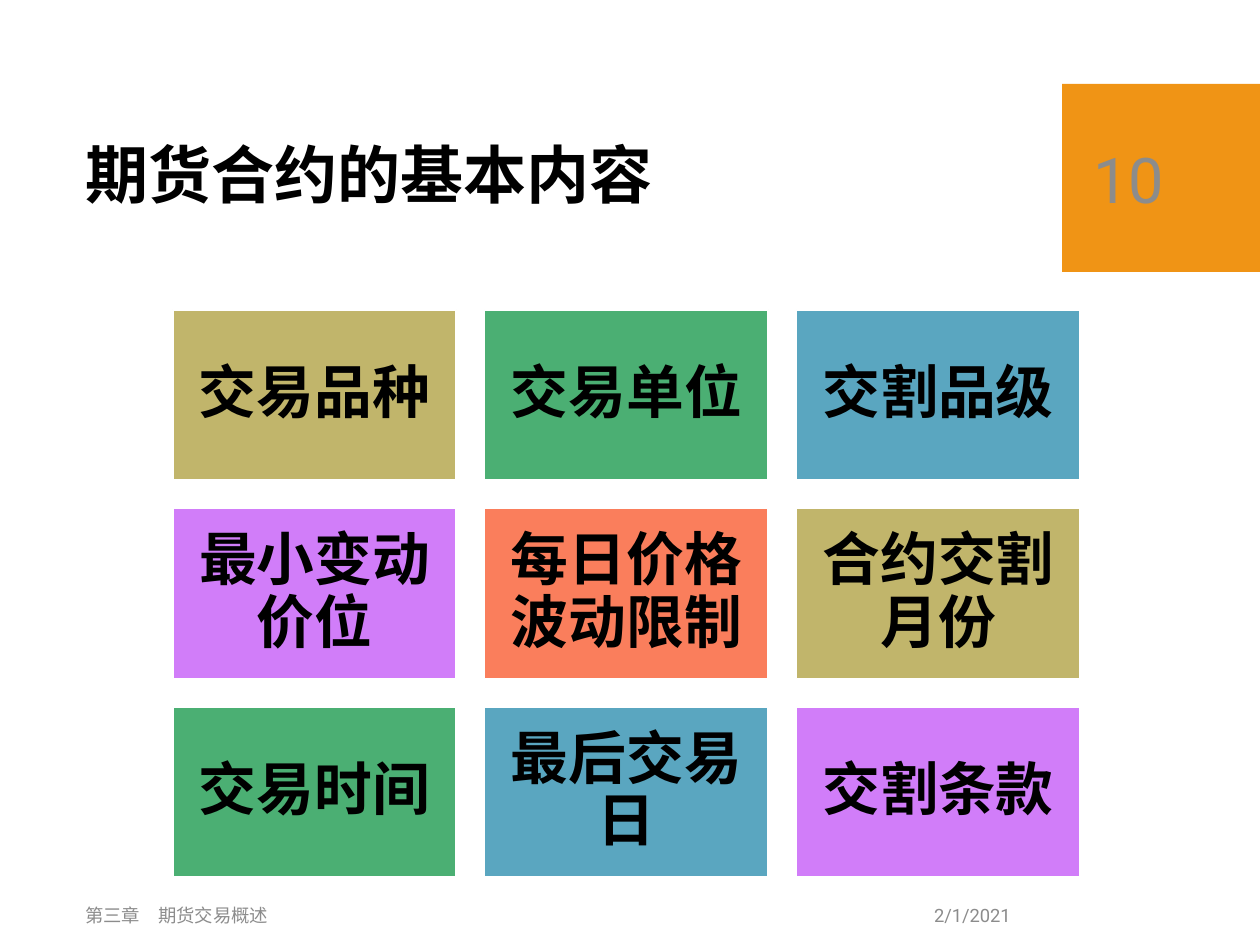
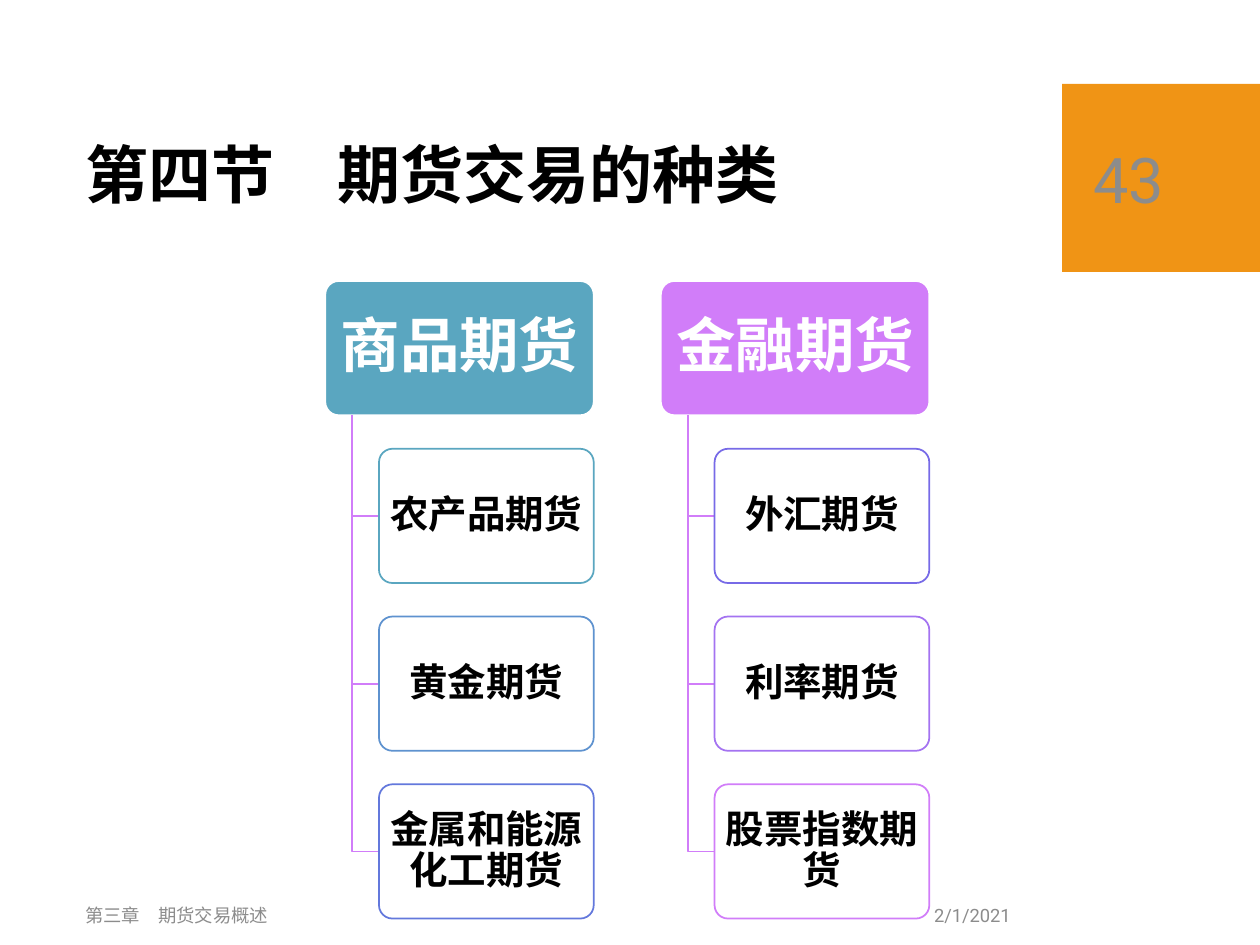
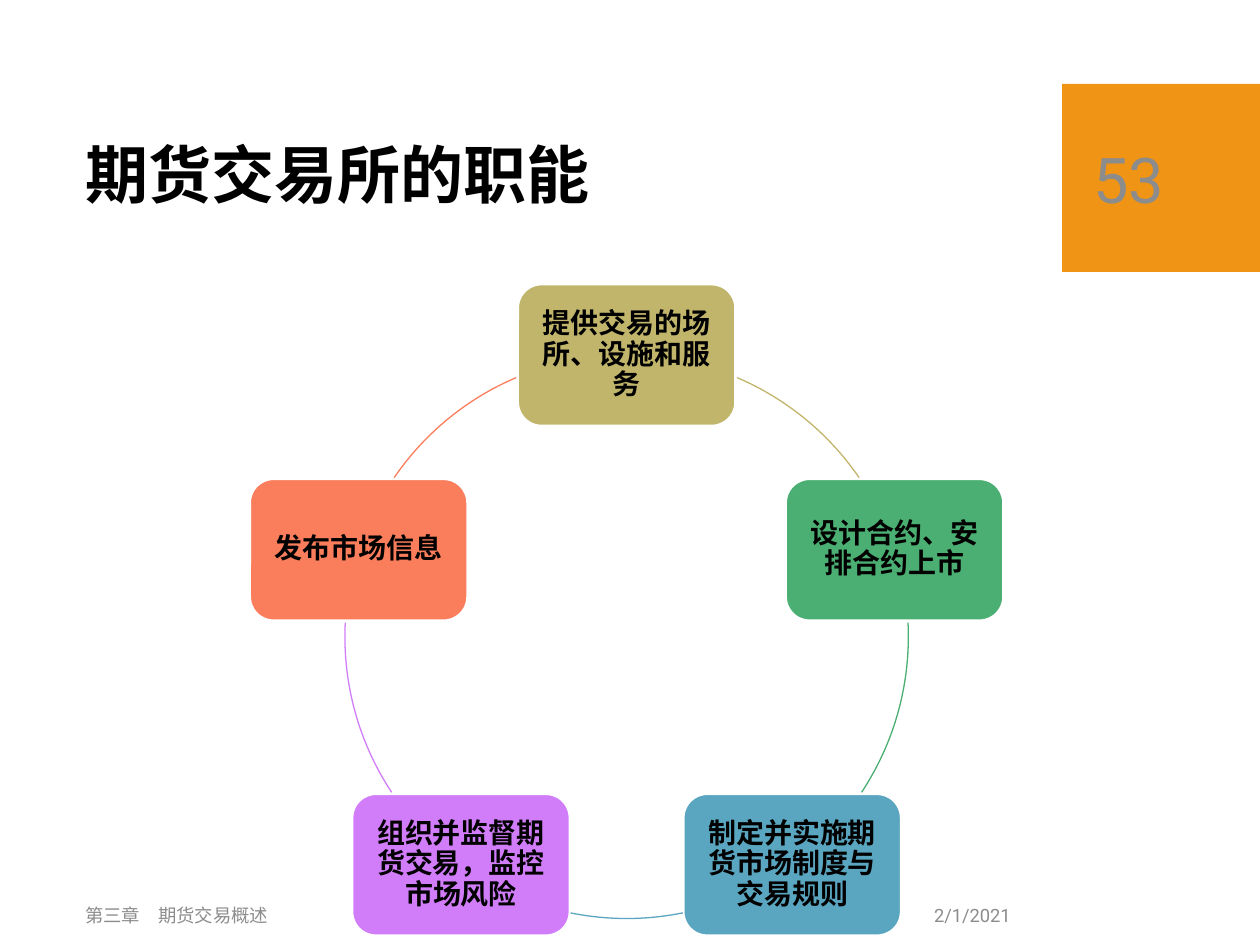
import math
from lxml import etree
from pptx import Presentation
from pptx.dml.color import RGBColor
from pptx.enum import shapes, text
from pptx.oxml import ns
from pptx.util import Pt

WHITE = RGBColor(0xFF, 0xFF, 0xFF)
BLACK = RGBColor(0, 0, 0)
GRAY = RGBColor(0x8C, 0x8C, 0x8C)
ORANGE = RGBColor(0xF0, 0x94, 0x15)
SAND = RGBColor(0xC1, 0xB5, 0x6B)
GREEN = RGBColor(0x4B, 0xAF, 0x73)
TEAL = RGBColor(0x5A, 0xA6, 0xC0)
VIOLET = RGBColor(0xD1, 0x7D, 0xF9)
CORAL = RGBColor(0xFA, 0x7E, 0x5C)
AZURE = RGBColor(0x5E, 0x92, 0xCF)
COBALT = RGBColor(0x63, 0x78, 0xDC)
INDIGO = RGBColor(0x77, 0x6A, 0xE7)
ORCHID = RGBColor(0xA4, 0x73, 0xF1)
CYCLE = [SAND, GREEN, TEAL, VIOLET, CORAL]

FONT = "Roboto"
KIND = shapes.MSO_SHAPE
LEFT, MID, RIGHT = text.PP_ALIGN.LEFT, text.PP_ALIGN.CENTER, text.PP_ALIGN.RIGHT


def write(shape, words, size, color=BLACK, bold=False, align=LEFT, space=None, pad=(7.2, 3.6)):
    frame = shape.text_frame
    frame.word_wrap = True
    frame.vertical_anchor = text.MSO_ANCHOR.MIDDLE
    frame.margin_left = frame.margin_right = Pt(pad[0])
    frame.margin_top = frame.margin_bottom = Pt(pad[1])
    para = frame.paragraphs[0]
    para.alignment = align
    para.line_spacing = space
    run = para.add_run()
    run.text = words
    font = run.font
    font.name, font.size, font.bold = FONT, Pt(size), bold
    font.color.rgb = color
    props = run._r.get_or_add_rPr()
    props.set("lang", "zh-CN")
    etree.SubElement(props, ns.qn("a:ea"), typeface=FONT)


class Deck:
    def __init__(self):
        self.prs = Presentation()
        self.prs.slide_width, self.prs.slide_height = Pt(720), Pt(540)

    def start(self, title):
        self.slide = self.prs.slides.add_slide(self.prs.slide_layouts[6])
        self.shape(KIND.RECTANGLE, 607, 48, 113, 107.5, ORANGE)
        self.label(title, 41.76, 59, 543, 85, size=36, bold=True, space=0.9)

    def finish(self, number):
        """Add the footers and the page number above the diagram."""
        self.label("2/1/2021", 422.64, 508.3, 162, 28.8, size=10.5, color=GRAY, align=RIGHT)
        self.label("第三章　期货交易概述", 41.76, 508.3, 381, 28.8, size=10.5, color=GRAY)
        self.label(number, 617.76, 59, 91.4, 85.7, size=36, color=GRAY)

    def label(self, words, x, y, w, h, **form):
        box = self.slide.shapes.add_textbox(Pt(x), Pt(y), Pt(w), Pt(h))
        write(box, words, **form)

    def style(self, shape, fill, line, width):
        shape.shadow.inherit = False
        if fill is None:
            shape.fill.background()
        else:
            shape.fill.solid()
            shape.fill.fore_color.rgb = fill
        if line is None:
            shape.line.fill.background()
        else:
            shape.line.color.rgb = line
            shape.line.width = Pt(width)

    def shape(self, kind, x, y, w, h, fill=None, line=None, width=1, adj=()):
        item = self.slide.shapes.add_shape(kind, Pt(x), Pt(y), Pt(w), Pt(h))
        for i, value in enumerate(adj):
            item.adjustments[i] = value
        self.style(item, fill, line, width)
        return item

    def card(self, words, kind, x, y, w, h, fill, size, pad, line=WHITE, color=BLACK, adj=()):
        item = self.shape(kind, x, y, w, h, fill, line, adj=adj)
        write(item, words, size, color=color, bold=True, align=MID, space=0.9, pad=pad)
        return item

    def elbow(self, x, y, right, low, color):
        """Draw a line down from (x, y) to low, then across to right."""
        path = self.slide.shapes.build_freeform(Pt(x), Pt(y))
        path.add_line_segments([(Pt(x), Pt(low)), (Pt(right), Pt(low))], close=False)
        self.style(path.convert_to_shape(), None, color, 1)

    def arc(self, x, y, radius, start, end, color):
        """Draw a clockwise arc; angles are degrees from three o'clock."""
        self.shape(KIND.ARC, x - radius, y - radius, 2 * radius, 2 * radius,
                   line=color, width=0.75, adj=(start * 0.6, end * 0.6))


def terms(deck):
    deck.start("期货合约的基本内容")
    names = ["交易品种", "交易单位", "交割品级", "最小变动价位", "每日价格波动限制",
             "合约交割月份", "交易时间", "最后交易日", "交割条款"]
    fills = [SAND, GREEN, TEAL, VIOLET, CORAL, SAND, GREEN, TEAL, VIOLET]
    w, h, gap = 162, 97.2, 16.2
    for i, (name, fill) in enumerate(zip(names, fills)):
        row, col = divmod(i, 3)
        deck.card(name, KIND.RECTANGLE, 98.7 + col * (w + gap), 177.1 + row * (h + gap),
                  w, h, fill, 33, (9.9, 9.9))
    deck.finish("10")


def types(deck):
    deck.start("第四节　期货交易的种类")
    groups = [
        ("商品期货", TEAL, [("农产品期货", TEAL), ("黄金期货", AZURE), ("金属和能源化工期货", COBALT)]),
        ("金融期货", VIOLET, [("外汇期货", INDIGO), ("利率期货", ORCHID), ("股票指数期货", VIOLET)]),
    ]
    h, top = 76.7, 160.6
    w, step = 2 * h, 1.25 * h
    for col, (head, fill, kids) in enumerate(groups):
        x = 185.9 + col * (w + h / 2)
        inner = x + 0.2 * w
        deck.card(head, KIND.ROUNDED_RECTANGLE, x, top, w, h, fill, 34, (5.1, 3.4),
                  color=WHITE, adj=(0.1,))
        for row, (kid, line) in enumerate(kids, 1):
            y = top + row * step
            deck.elbow(x + 0.1 * w, top + h, inner, y + h / 2, VIOLET)
            box = deck.card(kid, KIND.ROUNDED_RECTANGLE, inner, y, 0.8 * w, h, WHITE, 22,
                            (3.3, 2.2), line=line, adj=(0.1,))
            tint = box._element.spPr.find(ns.qn("a:solidFill"))[0]
            etree.SubElement(tint, ns.qn("a:alpha"), val="90000")
    deck.finish("43")


def duties(deck):
    deck.start("期货交易所的职能")
    names = ["提供交易的场所、设施和服务", "设计合约、安排合约上市", "制定并实施期货市场制度与交易规则",
             "组织并监督期货交易，监控市场风险", "发布市场信息"]
    spans = [(293.1, 325.6), (357.1, 33.5), (78.5, 101.5), (146.5, 182.9), (214.4, 246.9)]
    x, y, radius = 358.1, 363.9, 161
    w, h = 124, 80.6
    for i, (name, span, fill) in enumerate(zip(names, spans, CYCLE)):
        turn = math.radians(72 * i - 90)
        deck.card(name, KIND.ROUNDED_RECTANGLE, x + radius * math.cos(turn) - w / 2,
                  y + radius * math.sin(turn) - h / 2, w, h, fill, 16, (4.8, 4.8))
        deck.arc(x, y, radius, *span, fill)
    deck.finish("53")


def main():
    deck = Deck()
    terms(deck)
    types(deck)
    duties(deck)
    deck.prs.save("out.pptx")


if __name__ == "__main__":
    main()
